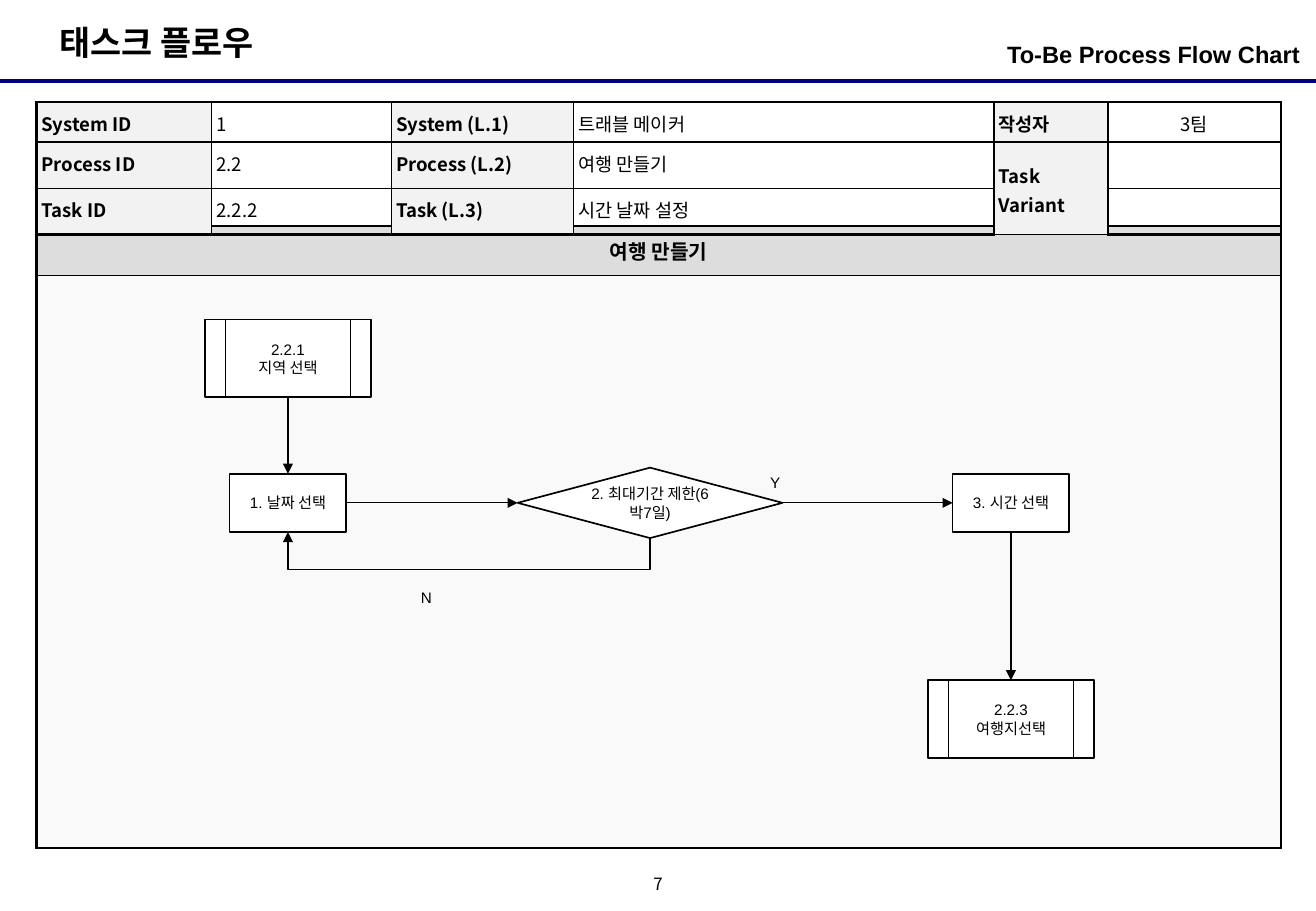
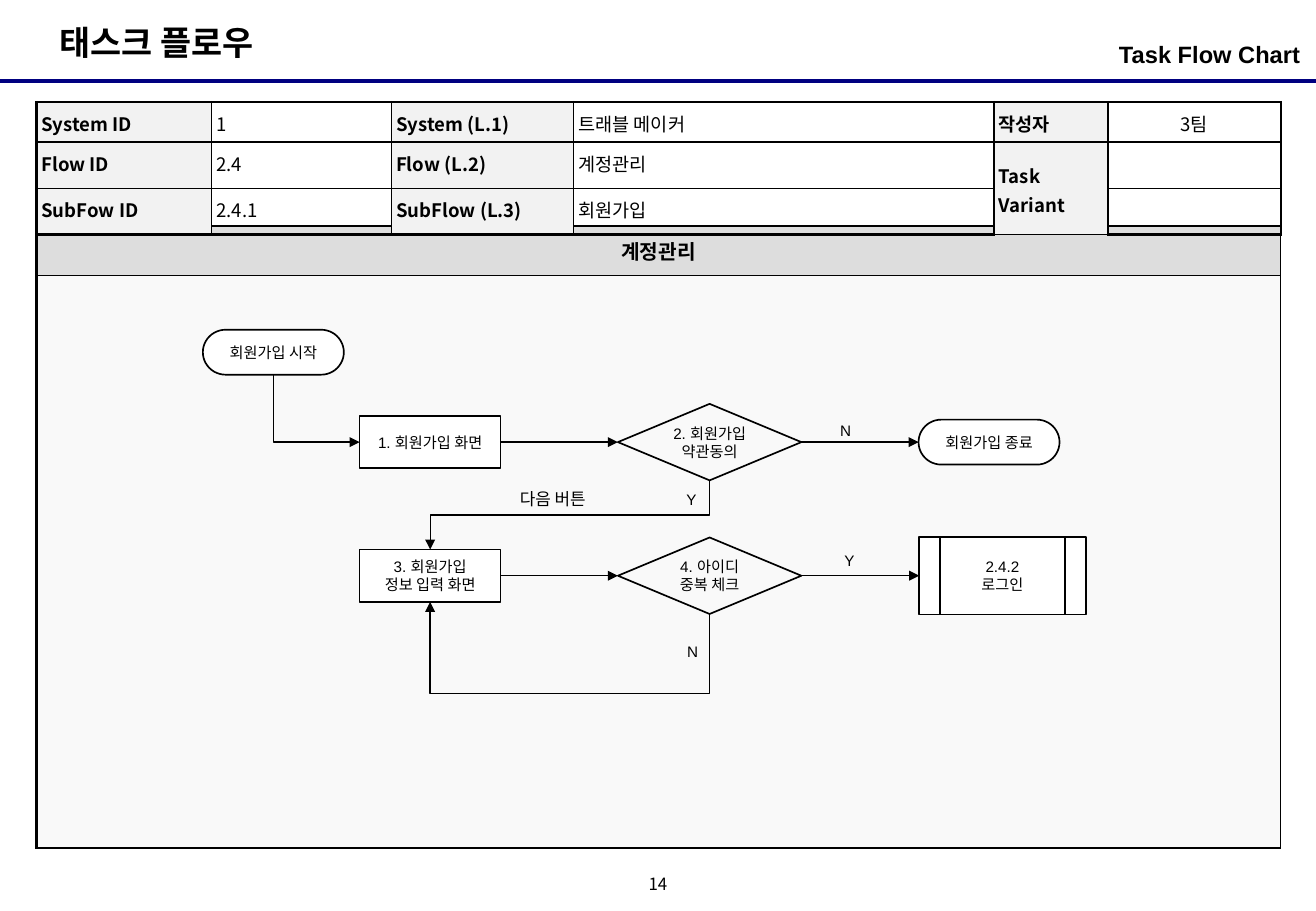
import pptx
import pptx.util
import pptx.dml.color
import pptx.enum.shapes
import pptx.enum.text
import pptx.oxml
import pptx.oxml.ns

Inches, Pt = pptx.util.Inches, pptx.util.Pt
qn = pptx.oxml.ns.qn
SHAPE = pptx.enum.shapes.MSO_SHAPE
CONNECTOR = pptx.enum.shapes.MSO_CONNECTOR
ALIGN = pptx.enum.text.PP_ALIGN
ANCHOR = pptx.enum.text.MSO_ANCHOR

WIDTH, HEIGHT = 10.83, 7.5
COLOURS = {"ink": "000000", "rule": "000080", "band": "DDDDDD", "label": "F2F2F2",
           "canvas": "F9F9F9", "node": "FFFFFF"}
LATIN, KOREAN = "Arial", "Noto Sans CJK KR"
TABLE_LEFT, INFO_TOP, FLOW_TOP = 0.3, 0.84, 1.86
INFO_COLUMNS = [1.44, 1.48, 1.5, 3.46, 0.94, 1.42]
INFO_ROWS = [0.33, 0.36, 0.36]
FLOW_ROWS = [0.41, 4.71]
LABEL_COLUMNS = (0, 2, 4)
THICK, MEDIUM, THIN = 1.5, 1, 0.75
TOP, LEFT, BOTTOM, RIGHT = range(4)

# Nodes: name -> (kind, centre x, centre y, text)
# Links: (from, side, to, side, y of the horizontal run if it bends up or down)
# Labels: (text, left, top, width, size, alignment)
PAGES = [
    {
        "title": "To-Be Process Flow Chart", "number": "7", "right_edge": THICK,
        "info": [["System ID", "1", "System (L.1)", "트래블 메이커", "작성자", "3팀"],
                 ["Process ID", "2.2", "Process (L.2)", "여행 만들기", "Task Variant", ""],
                 ["Task ID", "2.2.2", "Task (L.3)", "시간 날짜 설정", "", ""]],
        "flow": "여행 만들기",
        "sizes": {"process": (1.37, 0.64), "step": (0.96, 0.48), "diamond": (2.18, 0.58)},
        "nodes": {
            "region": ("process", 2.37, 2.95, "2.2.1\n지역 선택"),
            "date": ("step", 2.37, 4.14, "1. 날짜 선택"),
            "limit": ("diamond", 5.35, 4.14, "2. 최대기간 제한(6박7일)"),
            "time": ("step", 8.32, 4.14, "3. 시간 선택"),
            "place": ("process", 8.32, 5.92, "2.2.3\n여행지선택"),
        },
        "links": [("region", BOTTOM, "date", TOP, None),
                  ("date", RIGHT, "limit", LEFT, None),
                  ("limit", RIGHT, "time", LEFT, None),
                  ("time", BOTTOM, "place", TOP, None),
                  ("limit", BOTTOM, "date", BOTTOM, 4.69)],
        "labels": [("Y", 6.2, 3.85, 0.36, 9, ALIGN.CENTER),
                   ("N", 3.33, 4.79, 0.36, 9, ALIGN.CENTER)],
    },
    {
        "title": "Task Flow Chart", "number": "14", "right_edge": THIN,
        "info": [["System ID", "1", "System (L.1)", "트래블 메이커", "작성자", "3팀"],
                 ["Flow ID", "2.4", "Flow (L.2)", "계정관리", "Task Variant", ""],
                 ["SubFow ID", "2.4.1", "SubFlow (L.3)", "회원가입", "", ""]],
        "flow": "계정관리",
        "sizes": {"process": (1.37, 0.64), "step": (1.16, 0.43),
                  "decision": (1.51, 0.63), "terminal": (1.16, 0.37)},
        "nodes": {
            "start": ("terminal", 2.25, 2.9, "회원가입 시작"),
            "join": ("step", 3.54, 3.64, "1. 회원가입 화면"),
            "terms": ("decision", 5.84, 3.64, "2. 회원가입 약관동의"),
            "end": ("terminal", 8.14, 3.64, "회원가입 종료"),
            "details": ("step", 3.54, 4.74, "3. 회원가입\n정보 입력 화면"),
            "duplicate": ("decision", 5.84, 4.74, "4. 아이디 중복 체크"),
            "login": ("process", 8.25, 4.74, "2.4.2\n로그인"),
        },
        "links": [("start", BOTTOM, "join", LEFT, None),
                  ("join", RIGHT, "terms", LEFT, None),
                  ("terms", RIGHT, "end", LEFT, None),
                  ("terms", BOTTOM, "details", TOP, 4.24),
                  ("details", RIGHT, "duplicate", LEFT, None),
                  ("duplicate", RIGHT, "login", LEFT, None),
                  ("duplicate", BOTTOM, "details", BOTTOM, 5.71)],
        "labels": [("Y", 5.55, 3.99, 0.27, 9, ALIGN.CENTER),
                   ("N", 6.81, 3.42, 0.3, 9, ALIGN.CENTER),
                   ("다음 버튼", 4.18, 3.98, 0.85, 10, ALIGN.LEFT),
                   ("Y", 6.85, 4.49, 0.27, 9, ALIGN.CENTER),
                   ("N", 5.55, 5.24, 0.3, 9, ALIGN.CENTER)],
    },
]

PRESETS = {"process": SHAPE.FLOWCHART_PREDEFINED_PROCESS, "step": SHAPE.RECTANGLE,
           "diamond": SHAPE.DIAMOND, "decision": SHAPE.FLOWCHART_DECISION,
           "terminal": SHAPE.FLOWCHART_TERMINATOR}


def colour(name):
    return pptx.dml.color.RGBColor.from_string(COLOURS[name])


def paint(fill, name):
    fill.solid()
    fill.fore_color.rgb = colour(name)


def write(frame, text, size, bold=False, font=LATIN, align=ALIGN.LEFT, spacing=None):
    for index, line in enumerate(text.split("\n")):
        para = frame.add_paragraph() if index else frame.paragraphs[0]
        para.alignment = align
        para.line_spacing = spacing
        if not line:
            continue
        span = para.add_run()
        span.text = line
        span.font.size, span.font.bold, span.font.name = Pt(size), bold, font
        span.font.color.rgb = colour("ink")
        east_asian = pptx.oxml.parse_xml(
            f'<a:ea {pptx.oxml.ns.nsdecls("a")} typeface="{KOREAN}"/>')
        span.font._element.find(qn("a:latin")).addnext(east_asian)


def set_margins(holder, across, down):
    holder.margin_left = holder.margin_right = Inches(across)
    holder.margin_top = holder.margin_bottom = Inches(down)


def add_text(page, at, text, size, margins=(0.1, 0.05), anchor=ANCHOR.TOP, **style):
    frame = page.shapes.add_textbox(*map(Inches, at)).text_frame
    frame.word_wrap = True
    frame.vertical_anchor = anchor
    set_margins(frame, *margins)
    write(frame, text, size, **style)


def add_line(page, kind, ends, name, width):
    line = page.shapes.add_connector(kind, *map(Inches, ends))
    line.line.color.rgb = colour(name)
    line.line.width = Pt(width)
    line._element.spPr.append(
        pptx.oxml.parse_xml(f'<a:effectLst {pptx.oxml.ns.nsdecls("a")}/>'))
    return line


def add_grid(page, top, columns, rows):
    table = page.shapes.add_table(
        len(rows), len(columns),
        *map(Inches, (TABLE_LEFT, top, sum(columns), sum(rows)))).table
    table.first_row = table.horz_banding = False
    for lines, lengths, side in ((table.columns, columns, "width"),
                                 (table.rows, rows, "height")):
        for line, length in zip(lines, lengths):
            setattr(line, side, Inches(length))
    return table


def set_borders(table, inner, right_edge):
    """Thick outer frame, except the right edge, and even inner lines."""
    last_row, last_column = len(table.rows) - 1, len(table.columns) - 1
    for row in range(last_row + 1):
        for column in range(last_column + 1):
            widths = {"L": inner if column else THICK,
                      "R": right_edge if column == last_column else inner,
                      "T": inner if row else THICK,
                      "B": THICK if row == last_row else inner}
            properties = table.cell(row, column)._tc.get_or_add_tcPr()
            for index, (side, width) in enumerate(widths.items()):
                properties.insert(index, pptx.oxml.parse_xml(
                    f'<a:ln{side} {pptx.oxml.ns.nsdecls("a")} w="{Pt(width)}"><a:solidFill>'
                    f'<a:srgbClr val="{COLOURS["ink"]}"/></a:solidFill></a:ln{side}>'))


def add_flow_table(page, content):
    table = add_grid(page, FLOW_TOP, [sum(INFO_COLUMNS)], FLOW_ROWS)
    heading, canvas = table.cell(0, 0), table.cell(1, 0)
    paint(heading.fill, "band")
    paint(canvas.fill, "canvas")
    heading.vertical_anchor = ANCHOR.MIDDLE
    write(heading.text_frame, content["flow"], 12, bold=True, align=ALIGN.CENTER)
    set_borders(table, THIN, content["right_edge"])


def add_info_table(page, content):
    table = add_grid(page, INFO_TOP, INFO_COLUMNS, INFO_ROWS)
    last = len(INFO_COLUMNS) - 1
    for row, texts in enumerate(content["info"]):
        for column, text in enumerate(texts):
            cell, is_label = table.cell(row, column), column in LABEL_COLUMNS
            if is_label:
                paint(cell.fill, "label")
            else:
                cell.fill.background()
            set_margins(cell, 0.04, 0.04)
            if column >= last - 1:
                cell.vertical_anchor = ANCHOR.MIDDLE
            write(cell.text_frame, text, 11, bold=is_label, font=KOREAN, spacing=1.1,
                  align=ALIGN.CENTER if column == last else ALIGN.LEFT)
    table.cell(1, last - 1).merge(table.cell(2, last - 1))
    set_borders(table, MEDIUM, THICK)


def add_node(page, sizes, kind, centre_x, centre_y, text):
    width, height = sizes[kind]
    box = page.shapes.add_shape(PRESETS[kind], *map(Inches, (
        centre_x - width / 2, centre_y - height / 2, width, height)))
    box.shadow.inherit = False
    if kind == "decision":
        box.fill.background()
    else:
        paint(box.fill, "node")
    box.line.color.rgb = colour("ink")
    box.line.width = Pt(MEDIUM)
    frame = box.text_frame
    frame.word_wrap = True
    frame.vertical_anchor = ANCHOR.MIDDLE
    set_margins(frame, *((0.04, 0.04) if kind == "decision" else (0.02, 0)))
    write(frame, text, 9, align=ALIGN.CENTER)
    return box


def bend(line, run_y):
    """Turn an elbow so that it leaves downwards; run_y places its horizontal run."""
    x1, y1, x2, y2 = line.begin_x, line.begin_y, line.end_x, line.end_y
    across, down = x2 - x1, y2 - y1
    width, height = abs(down), abs(across)
    frame = line._element.spPr.find(qn("a:xfrm"))
    for flip in ("flipH", "flipV"):
        frame.attrib.pop(flip, None)
    line.left, line.top = (x1 + x2 - width) // 2, (y1 + y2 - height) // 2
    line.width, line.height = width, height
    frame.set("rot", str((90 if across < 0 else 270) * 60000))
    if (down < 0) == (across < 0):
        frame.set("flipH", "1")
    geometry = line._element.spPr.find(qn("a:prstGeom"))
    if run_y is None:
        geometry.set("prst", "bentConnector2")
        return
    share = round((Inches(run_y) - y1) / down * 100000)
    guides = geometry.find(qn("a:avLst"))
    guides.append(pptx.oxml.parse_xml(
        f'<a:gd {pptx.oxml.ns.nsdecls("a")} name="adj1" fmla="val {share}"/>'))


def add_link(page, boxes, start, start_side, end, end_side, run_y):
    is_straight = run_y is None and (start_side + 2) % 4 == end_side
    kind = CONNECTOR.STRAIGHT if is_straight else CONNECTOR.ELBOW
    line = add_line(page, kind, (0, 0, 1, 1), "ink", THIN)
    line.begin_connect(boxes[start], start_side)
    line.end_connect(boxes[end], end_side)
    if not is_straight:
        bend(line, run_y)
    line.line._get_or_add_ln().append(pptx.oxml.parse_xml(
        f'<a:tailEnd {pptx.oxml.ns.nsdecls("a")} type="triangle"/>'))


def add_frame(page, content):
    """Rule, section name, slide title and page number."""
    add_line(page, CONNECTOR.STRAIGHT, (0, 0.67, WIDTH, 0.67), "rule", 2.25)
    add_text(page, (0.39, 0.13, 1.98, 0.44), "태스크 플로우", 20, bold=True)
    add_text(page, (7.39, 0.28, 3.31, 0.39), content["title"], 14, margins=(0, 0.05),
             bold=True, align=ALIGN.RIGHT)
    add_text(page, (WIDTH / 2 - 0.17, 7.17, 0.34, 0.25), content["number"], 10,
             margins=(0, 0), anchor=ANCHOR.MIDDLE, font=KOREAN, align=ALIGN.CENTER,
             spacing=0.8)


def build_page(deck, content):
    page = deck.slides.add_slide(deck.slide_layouts[6])
    add_frame(page, content)
    add_flow_table(page, content)
    add_info_table(page, content)
    boxes = {name: add_node(page, content["sizes"], *node)
             for name, node in content["nodes"].items()}
    for link in content["links"]:
        add_link(page, boxes, *link)
    for text, left, top, width, size, align in content["labels"]:
        add_text(page, (left, top, width, 0.25), text, size, anchor=ANCHOR.MIDDLE,
                 align=align)


def main():
    deck = pptx.Presentation()
    deck.slide_width, deck.slide_height = Inches(WIDTH), Inches(HEIGHT)
    for content in PAGES:
        build_page(deck, content)
    deck.save("out.pptx")


if __name__ == "__main__":
    main()
